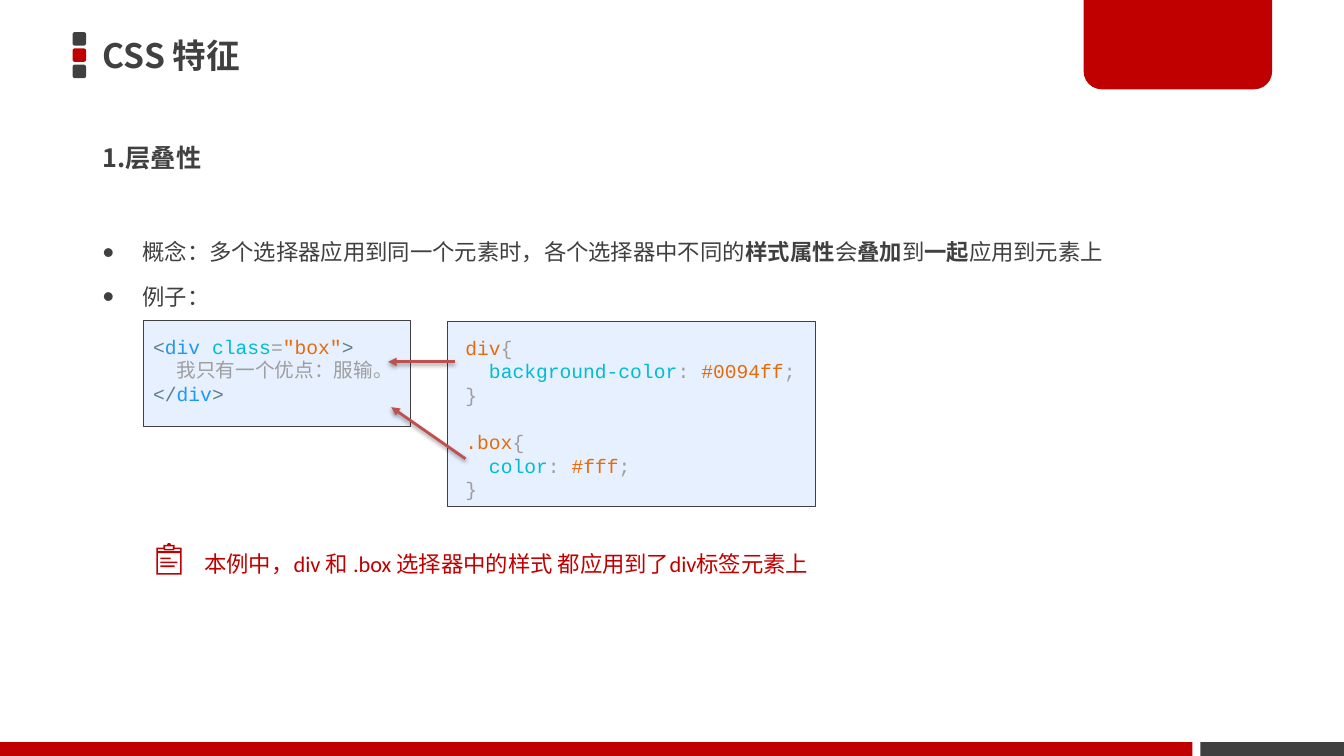
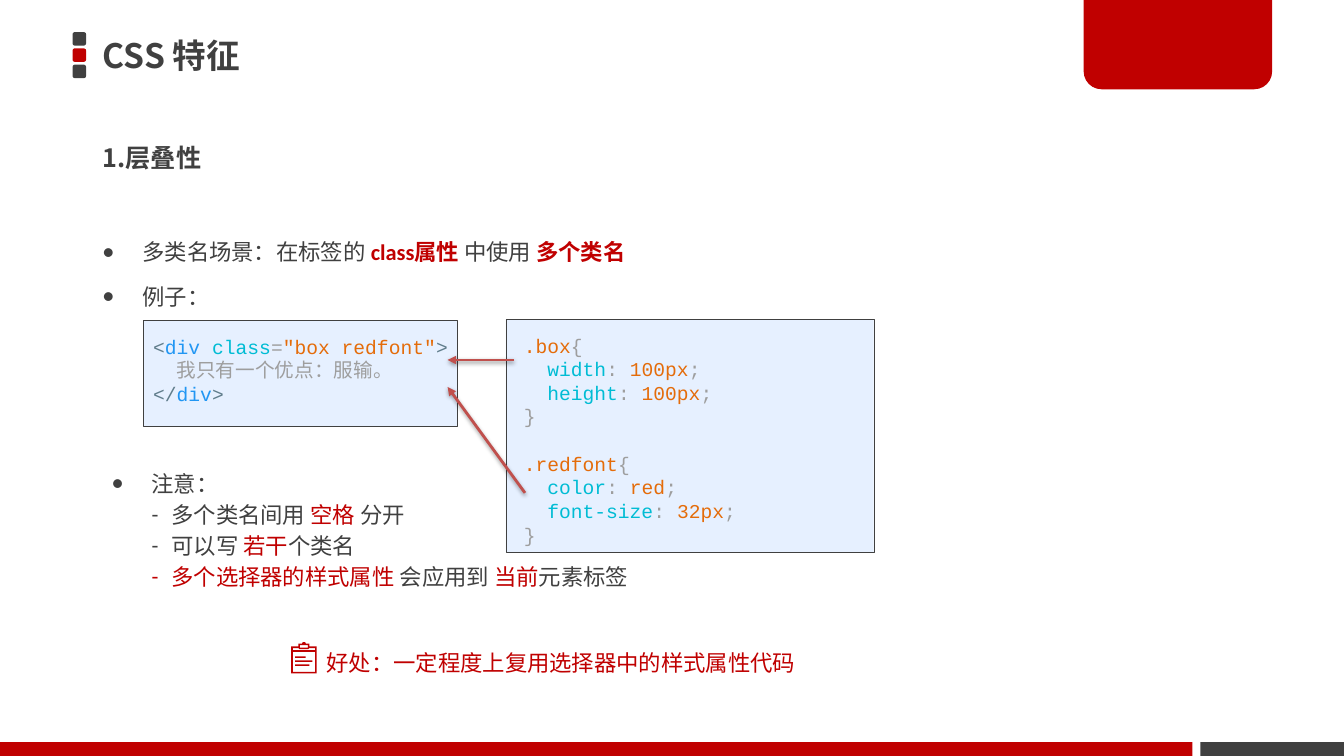
from dataclasses import dataclass
from typing import Optional

from lxml.etree import SubElement
from pptx import Presentation
from pptx.dml.color import RGBColor
from pptx.enum.lang import MSO_LANGUAGE_ID
from pptx.enum.shapes import MSO_CONNECTOR, MSO_SHAPE
from pptx.enum.text import MSO_ANCHOR, PP_ALIGN
from pptx.oxml.ns import qn
from pptx.util import Cm, Pt

COLORS = {
    "dark": "404040",
    "red": "C00000",
    "panel": "E6F0FF",
    "arrow": "C0504D",
    "shadow": "000000",
    "value": "E46C0A",
    "punctuation": "9E9E9E",
    "property": "00BCD4",
    "bracket": "607D8B",
    "tag": "2196F3",
}
HEADING_FONT = "Noto Sans CJK JP"
BODY_FONT = "Calibri"
CODE_FONT = "Courier New"
CODE_LINE = Pt(16.9)
PARAGRAPH_GAP = Pt(3)


@dataclass(frozen=True)
class Area:
    left: float
    top: float
    width: float
    height: float

    def lengths(self) -> tuple:
        return Cm(self.left), Cm(self.top), Cm(self.width), Cm(self.height)


@dataclass(frozen=True)
class Span:
    text: str
    color: str = "dark"
    bold: bool = False


@dataclass(frozen=True)
class Bullet:
    sign: str
    indent: float
    hanging: float
    size: int = 100


@dataclass(frozen=True)
class Line:
    spans: list[Span]
    bullet: Optional[Bullet] = None
    spacing: object = 1.5
    gap: object = PARAGRAPH_GAP


@dataclass(frozen=True)
class CssRule:
    selector: str
    declarations: dict[str, str]


@dataclass(frozen=True)
class Arrow:
    start: tuple[float, float]
    end: tuple[float, float]


@dataclass(frozen=True)
class Note:
    text: str
    area: Area
    icon: tuple[float, float]
    align: PP_ALIGN


@dataclass(frozen=True)
class Lesson:
    points: list[Line]
    html_class: str
    html_area: Area
    css_rules: list[CssRule]
    css_area: Area
    arrows: list[Arrow]
    note: Note
    remarks: Optional[list[Line]] = None


DOT = Bullet("●", 1, 1, 85)
DASH = Bullet("-", 1.5, 0.5)


def dot_line(*spans: Span) -> Line:
    return Line(list(spans), DOT)


def dash_line(*spans: Span) -> Line:
    return Line(list(spans), DASH, 1.0)


def rgb(name: str) -> RGBColor:
    return RGBColor.from_string(COLORS[name])


def add_span(para, text: str, *, size: float, font: str, color: str = "dark", bold: bool = False) -> None:
    span = para.add_run()
    span.text = text
    span.font.size = Pt(size)
    span.font.name = font
    span.font.bold = bold
    span.font.color.rgb = rgb(color)
    span.font.language_id = MSO_LANGUAGE_ID.SIMPLIFIED_CHINESE
    SubElement(span.font._element, qn("a:ea"), typeface=font)


def set_bullet(para, bullet: Bullet) -> None:
    properties = para._p.get_or_add_pPr()
    properties.set("marL", str(Cm(bullet.indent)))
    properties.set("indent", str(-Cm(bullet.hanging)))
    SubElement(properties, qn("a:buSzPct"), val=str(bullet.size * 1000))
    SubElement(properties, qn("a:buFont"), typeface=BODY_FONT)
    SubElement(properties, qn("a:buChar"), char=bullet.sign)


def fill_frame(frame, lines: list[Line], *, size: float, font: str, align: PP_ALIGN = PP_ALIGN.LEFT) -> None:
    for index, line in enumerate(lines):
        para = frame.add_paragraph() if index else frame.paragraphs[0]
        if line.bullet:
            set_bullet(para, line.bullet)
        para.alignment = align
        para.line_spacing = line.spacing
        para.space_before = line.gap if index else Pt(0)
        for span in line.spans:
            add_span(para, span.text, size=size, font=font, color=span.color, bold=span.bold)


def add_text(page, area: Area, lines: list[Line], *, size: float = 16, font: str = BODY_FONT,
             align: PP_ALIGN = PP_ALIGN.LEFT, anchor: MSO_ANCHOR = MSO_ANCHOR.TOP) -> None:
    frame = page.shapes.add_textbox(*area.lengths()).text_frame
    frame.word_wrap = True
    frame.vertical_anchor = anchor
    fill_frame(frame, lines, size=size, font=font, align=align)


def add_block(page, area: Area, color: str, kind: MSO_SHAPE = MSO_SHAPE.RECTANGLE):
    block = page.shapes.add_shape(kind, *area.lengths())
    block.shadow.inherit = False
    block.fill.solid()
    block.fill.fore_color.rgb = rgb(color)
    block.line.fill.background()
    return block


def add_page_frame(page) -> None:
    """Draw the title, section heading and decoration shared by all pages."""
    for index, color in enumerate(("dark", "red", "dark")):
        add_block(page, Area(1.83, 0.81 + index * 0.41, 0.34, 0.34), color, MSO_SHAPE.ROUNDED_RECTANGLE)
    add_block(page, Area(30.25, 18.7, 3.62, 0.35), "dark")
    add_block(page, Area(0, 18.7, 30.05, 0.35), "red")
    tab = add_block(page, Area(27.31, 0, 4.75, 2.25), "red", MSO_SHAPE.ROUND_2_SAME_RECTANGLE)
    tab.adjustments[0], tab.adjustments[1] = 0, 0.2
    for text, top, size in (("CSS 特征", 0.66, 24), ("1.层叠性", 3.25, 18)):
        add_text(page, Area(2.34, top, 24.4, 1.45), [Line([Span(text, bold=True)], spacing=1.0)],
                 size=size, font=HEADING_FONT, anchor=MSO_ANCHOR.MIDDLE)


def code_line(*spans: tuple[str, str], gap=Pt(0)) -> Line:
    return Line([Span(text, color) for text, color in spans], spacing=CODE_LINE, gap=gap)


def html_lines(class_names: str) -> list[Line]:
    return [
        code_line(("<", "bracket"), ("div ", "tag"), ("class", "property"), ("=", "punctuation"),
                  (f'"{class_names}"', "value"), (">", "bracket")),
        code_line(("  我只有一个优点：服输。", "punctuation")),
        code_line(("</", "bracket"), ("div", "tag"), (">", "bracket")),
    ]


def css_lines(rules: list[CssRule]) -> list[Line]:
    lines = []
    for rule in rules:
        lines.append(code_line((rule.selector, "value"), ("{", "punctuation"), gap=CODE_LINE))
        for name, value in rule.declarations.items():
            lines.append(code_line(("  ", "punctuation"), (name, "property"), (": ", "punctuation"),
                                   (value, "value"), (";", "punctuation")))
        lines.append(code_line(("}", "punctuation")))
    return lines


def add_code_panel(page, area: Area, lines: list[Line], left_margin: float) -> None:
    panel = add_block(page, area, "panel")
    panel.line.color.rgb = rgb("dark")
    panel.line.width = Pt(0.25)
    frame = panel.text_frame
    frame.word_wrap = False
    frame.vertical_anchor = MSO_ANCHOR.TOP
    frame.margin_left, frame.margin_top = Cm(left_margin), Cm(0.35)
    fill_frame(frame, lines, size=14, font=CODE_FONT)


def add_arrow(page, arrow: Arrow) -> None:
    points = [Cm(value) for value in (*arrow.start, *arrow.end)]
    connector = page.shapes.add_connector(MSO_CONNECTOR.STRAIGHT, *points)
    connector.line.color.rgb = rgb("arrow")
    connector.line.width = Pt(2)
    SubElement(connector.line._get_or_add_ln(), qn("a:tailEnd"), type="triangle")
    effects = SubElement(connector._element.spPr, qn("a:effectLst"))
    shadow = SubElement(effects, qn("a:outerShdw"), blurRad=str(Pt(3.1)), dist=str(Pt(1.6)),
                        dir="5400000", rotWithShape="0")
    shade = SubElement(shadow, qn("a:srgbClr"), val=COLORS["shadow"])
    SubElement(shade, qn("a:alpha"), val="38000")


def rectangle(left: int, top: int, right: int, bottom: int) -> list[tuple[int, int]]:
    return [(left, top), (right, top), (right, bottom), (left, bottom)]


def add_clipboard(page, left: float, top: float) -> None:
    """Draw a clipboard whose inner contours are holes; units are 0.1 mm."""
    outline = [(0, 11), (18, 11), (18, 4), (27, 4), (29, 0), (35, 0), (37, 4),
               (46, 4), (46, 11), (64, 11), (64, 79), (0, 79)]
    strip = [(4, 15), (18, 15), (21, 18), (43, 18), (46, 15), (60, 15), (60, 20), (4, 20)]
    sheet, clip = rectangle(4, 25, 60, 75), rectangle(22, 8, 42, 14)
    bars = [rectangle(10, 36 + index * 10, right, 40 + index * 10)
            for index, right in enumerate((36, 53, 46))]
    builder = page.shapes.build_freeform(*outline[0], scale=Cm(0.01))
    builder.add_line_segments(outline[1:], close=True)
    for contour in (strip, sheet, clip, *bars):
        builder.move_to(*contour[0])
        builder.add_line_segments(contour[1:], close=True)
    icon = builder.convert_to_shape(Cm(left), Cm(top))
    icon.shadow.inherit = False
    icon.fill.solid()
    icon.fill.fore_color.rgb = rgb("red")
    icon.line.fill.background()


def add_lesson(deck, lesson: Lesson) -> None:
    page = deck.slides.add_slide(deck.slide_layouts[6])
    add_page_frame(page)
    add_text(page, Area(2.34, 5.54, 26.3, 2.46), lesson.points)
    add_code_panel(page, lesson.css_area, css_lines(lesson.css_rules), 0.45)
    add_code_panel(page, lesson.html_area, html_lines(lesson.html_class), 0.25)
    for arrow in lesson.arrows:
        add_arrow(page, arrow)
    if lesson.remarks:
        add_text(page, Area(2.57, 11.38, 26.3, 4.42), lesson.remarks)
    add_text(page, lesson.note.area, [Line([Span(lesson.note.text, "red")])], align=lesson.note.align)
    add_clipboard(page, *lesson.note.icon)


LESSONS = [
    Lesson(
        points=[
            dot_line(Span("概念：多个选择器应用到同一个元素时，各个选择器中不同的"), Span("样式属性", bold=True),
                     Span("会"), Span("叠加", bold=True), Span("到"), Span("一起", bold=True),
                     Span("应用到元素上")),
            dot_line(Span("例子：")),
        ],
        html_class="box",
        html_area=Area(3.61, 8.08, 6.73, 2.67),
        css_rules=[CssRule("div", {"background-color": "#0094ff"}), CssRule(".box", {"color": "#fff"})],
        css_area=Area(11.28, 8.1, 9.27, 4.65),
        arrows=[Arrow((11.46, 9.12), (9.78, 9.12)), Arrow((11.73, 11.56), (9.86, 10.26))],
        note=Note("本例中，div 和 .box 选择器中的样式 都应用到了div标签元素上",
                  Area(4.34, 13.41, 16.84, 1.35), (3.94, 13.69), PP_ALIGN.CENTER),
    ),
    Lesson(
        points=[
            dot_line(Span("多类名场景：在标签的 "), Span("class属性 ", "red", True), Span("中使用 "),
                     Span("多个类名", "red", True)),
            dot_line(Span("例子：")),
        ],
        html_class="box redfont",
        html_area=Area(3.61, 8.08, 7.92, 2.67),
        css_rules=[CssRule(".box", {"width": "100px", "height": "100px"}),
                   CssRule(".redfont", {"color": "red", "font-size": "32px"})],
        css_area=Area(12.75, 8.05, 9.27, 5.87),
        arrows=[Arrow((12.95, 9.07), (11.28, 9.07)), Arrow((13.23, 12.42), (11.28, 9.75))],
        note=Note("好处：一定程度上复用选择器中的样式属性代码",
                  Area(7.98, 15.9, 12.4, 1.35), (7.34, 16.18), PP_ALIGN.LEFT),
        remarks=[
            dot_line(Span("注意：")),
            dash_line(Span("多个类名间用 "), Span("空格", "red"), Span(" 分开")),
            dash_line(Span("可以写 "), Span("若干", "red"), Span("个类名")),
            dash_line(Span("多个选择器的样式属性 ", "red"), Span("会应用到 "), Span("当前", "red"),
                      Span("元素标签")),
        ],
    ),
]


def main() -> None:
    deck = Presentation()
    deck.slide_width, deck.slide_height = Cm(33.87), Cm(19.05)
    for lesson in LESSONS:
        add_lesson(deck, lesson)
    deck.save("out.pptx")


if __name__ == "__main__":
    main()
